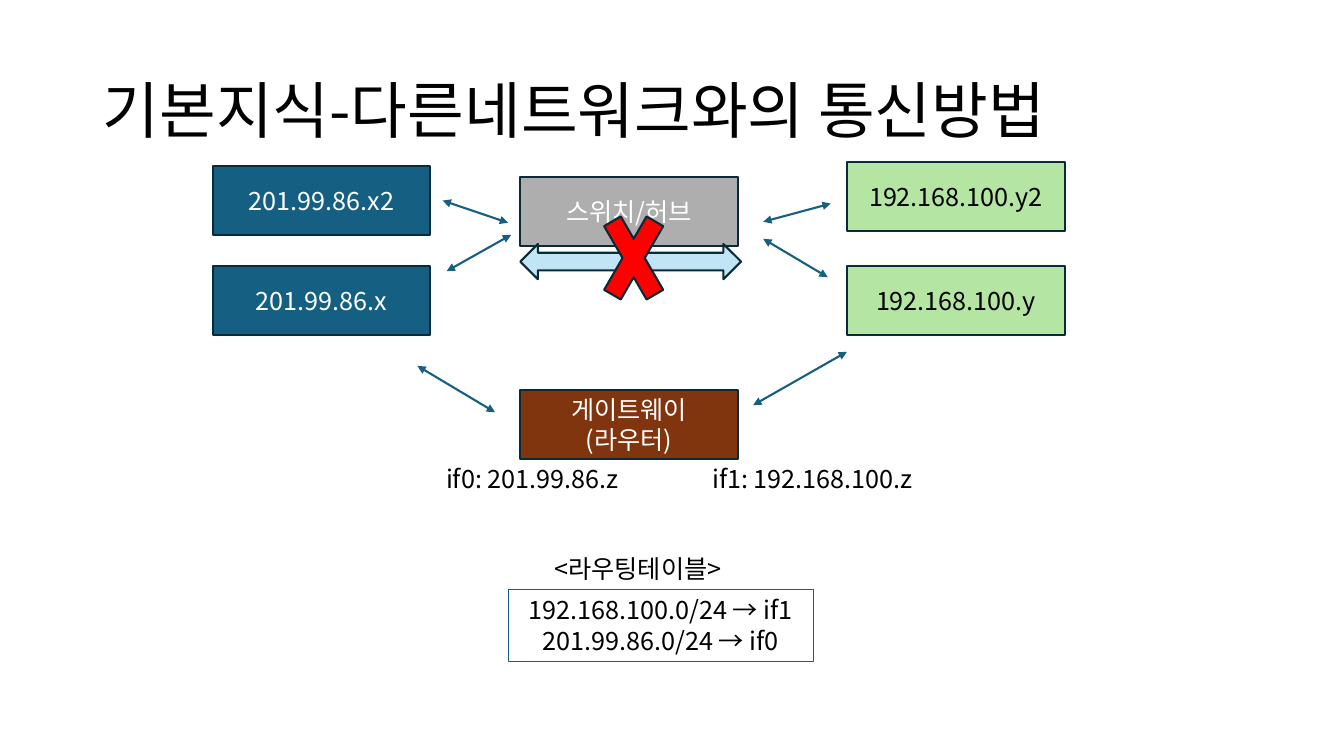
"""Build a slide on how hosts in different networks communicate."""
from dataclasses import dataclass

import lxml.etree
import pptx
import pptx.dml.color
import pptx.enum.shapes
import pptx.enum.text
import pptx.oxml.ns
import pptx.shapes.autoshape
import pptx.slide
import pptx.util

Inches = pptx.util.Inches
Kind = pptx.enum.shapes.MSO_SHAPE
Anchor = pptx.enum.text.MSO_ANCHOR
Align = pptx.enum.text.PP_ALIGN
qn = pptx.oxml.ns.qn

FONT = "Noto Sans CJK KR"
COLORS = {
    "black": "000000",
    "white": "FFFFFF",
    "blue": "156082",
    "navy": "092A39",
    "green": "B4E5A2",
    "brown": "80350E",
    "gray": "AEAEAE",
    "sky": "C1E5F5",
    "red": "FF0000",
}
NODE_WIDTH, NODE_HEIGHT = 2.16, 0.68
LEFT_COLUMN, MIDDLE_COLUMN, RIGHT_COLUMN = 2.11, 5.16, 8.4


@dataclass(frozen=True)
class Block:
    left: float
    top: float
    fill: str
    text: str = ""
    ink: str = "white"
    width: float = NODE_WIDTH
    height: float = NODE_HEIGHT
    kind: Kind = Kind.RECTANGLE


@dataclass(frozen=True)
class Label:
    left: float
    top: float
    width: float
    height: float
    text: str
    size: float = 18
    align: Align = Align.CENTER
    anchor: Anchor = Anchor.TOP
    wrap: bool = True
    spacing: float = 1.0
    border: str = ""


@dataclass(frozen=True)
class Link:
    x1: float
    y1: float
    x2: float
    y2: float


BLOCKS = [
    Block(LEFT_COLUMN, 1.65, "blue", "201.99.86.x2"),
    Block(LEFT_COLUMN, 2.64, "blue", "201.99.86.x"),
    Block(RIGHT_COLUMN, 1.61, "green", "192.168.100.y2", "black"),
    Block(RIGHT_COLUMN, 2.64, "green", "192.168.100.y", "black"),
    Block(MIDDLE_COLUMN, 3.87, "brown", "게이트웨이\n(라우터)"),
    Block(MIDDLE_COLUMN, 1.76, "gray", "스위치/허브"),
    Block(MIDDLE_COLUMN, 2.42, "sky", width=2.19, height=0.35,
          kind=Kind.LEFT_RIGHT_ARROW),
    Block(5.88, 1.86, "red", width=0.81, height=1.4, kind=Kind.MATH_MULTIPLY),
]
LABELS = [
    Label(0.92, 0.4, 11.5, 1.45, "기본지식-다른네트워크와의 통신방법", size=44,
          align=Align.LEFT, anchor=Anchor.MIDDLE, spacing=0.9),
    Label(4.27, 4.55, 2.02, 0.4, "if0: 201.99.86.z"),
    Label(6.93, 4.55, 2.26, 0.4, "if1: 192.168.100.z"),
    Label(5.4, 5.44, 2.07, 0.4, "<라우팅테이블>", align=Align.LEFT, wrap=False),
    Label(5.04, 5.85, 3.03, 0.71,
          "192.168.100.0/24 → if1\n201.99.86.0/24 → if0", border="blue"),
]
LINKS = [
    Link(4.39, 1.99, 5.04, 2.21),
    Link(4.43, 2.69, 5.07, 2.33),
    Link(7.57, 2.2, 8.24, 2.02),
    Link(7.57, 2.37, 8.21, 2.75),
    Link(4.14, 3.63, 4.91, 4.09),
    Link(7.47, 4.02, 8.4, 3.49),
]


def rgb(name: str) -> pptx.dml.color.RGBColor:
    """Return a palette colour."""
    return pptx.dml.color.RGBColor.from_string(COLORS[name])


def write(shape: pptx.shapes.autoshape.Shape, text: str, ink: str,
          size: float = 18, align: Align = Align.CENTER,
          spacing: float = 1.0) -> None:
    """Put formatted text into a shape."""
    shape.text_frame.text = text
    for paragraph in shape.text_frame.paragraphs:
        paragraph.alignment = align
        paragraph.line_spacing = spacing
        for run in paragraph.runs:
            run.font.name = FONT
            run.font.size = pptx.util.Pt(size)
            run.font.color.rgb = rgb(ink)
            east_asian = lxml.etree.SubElement(run.font._element, qn("a:ea"))
            east_asian.set("typeface", FONT)


def draw_block(slide: pptx.slide.Slide, block: Block) -> None:
    """Draw a filled, outlined shape."""
    shape = slide.shapes.add_shape(
        block.kind, Inches(block.left), Inches(block.top),
        Inches(block.width), Inches(block.height))
    shape.shadow.inherit = False
    shape.fill.solid()
    shape.fill.fore_color.rgb = rgb(block.fill)
    shape.line.color.rgb = rgb("navy")
    shape.line.width = pptx.util.Pt(1.5)
    if block.text:
        shape.text_frame.vertical_anchor = Anchor.MIDDLE
        write(shape, block.text, block.ink)


def draw_label(slide: pptx.slide.Slide, label: Label) -> None:
    """Draw a text box, bordered when the label asks for it."""
    box = slide.shapes.add_textbox(
        Inches(label.left), Inches(label.top),
        Inches(label.width), Inches(label.height))
    box.text_frame.word_wrap = label.wrap
    box.text_frame.vertical_anchor = label.anchor
    if label.border:
        box.line.color.rgb = rgb(label.border)
        box.line.width = pptx.util.Pt(0.75)
    write(box, label.text, "black", label.size, label.align, label.spacing)


def draw_link(slide: pptx.slide.Slide, link: Link) -> None:
    """Draw a line with an arrowhead at both ends."""
    connector = slide.shapes.add_connector(
        pptx.enum.shapes.MSO_CONNECTOR.STRAIGHT,
        Inches(link.x1), Inches(link.y1), Inches(link.x2), Inches(link.y2))
    connector.line.color.rgb = rgb("blue")
    connector.line.width = pptx.util.Pt(1.5)
    properties = connector._element.spPr
    for end in ("a:headEnd", "a:tailEnd"):
        arrowhead = lxml.etree.SubElement(properties.find(qn("a:ln")), qn(end))
        arrowhead.set("type", "triangle")
    lxml.etree.SubElement(properties, qn("a:effectLst"))


def main() -> None:
    """Build and save the presentation."""
    presentation = pptx.Presentation()
    presentation.slide_width = Inches(13.33)
    presentation.slide_height = Inches(7.5)
    slide = presentation.slides.add_slide(presentation.slide_layouts[6])
    for label in LABELS:
        draw_label(slide, label)
    for block in BLOCKS:
        draw_block(slide, block)
    for link in LINKS:
        draw_link(slide, link)
    presentation.save("out.pptx")


if __name__ == "__main__":
    main()
